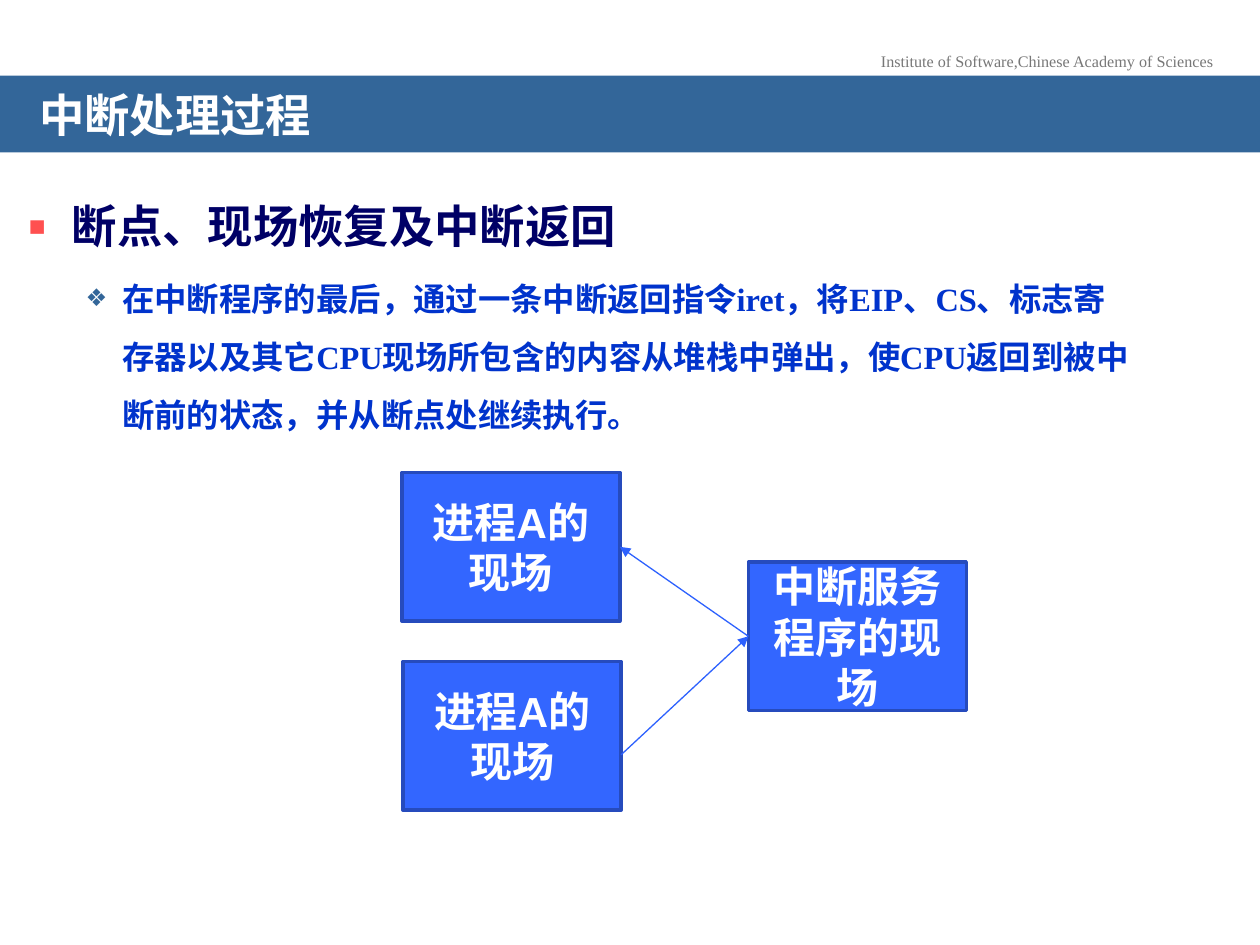
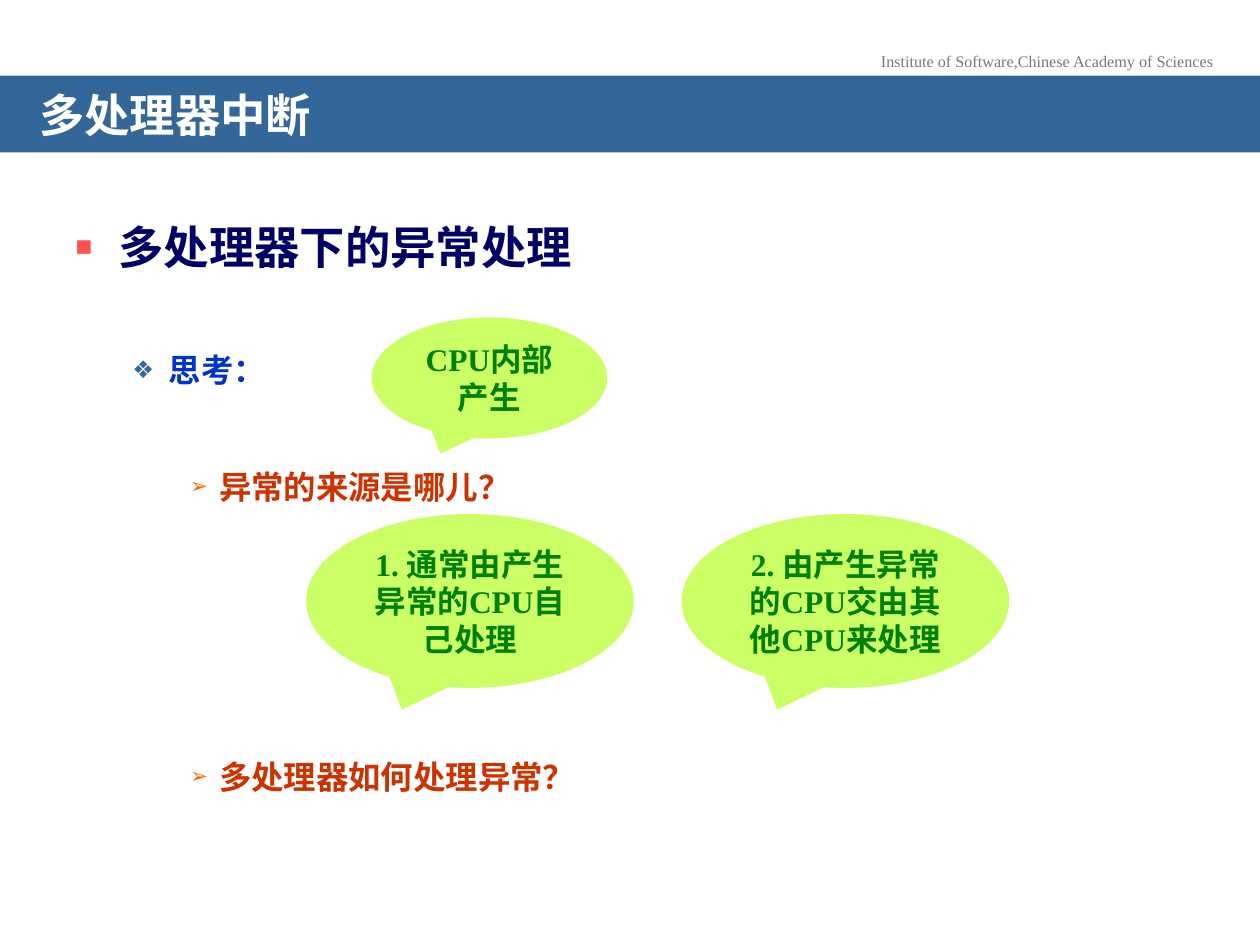
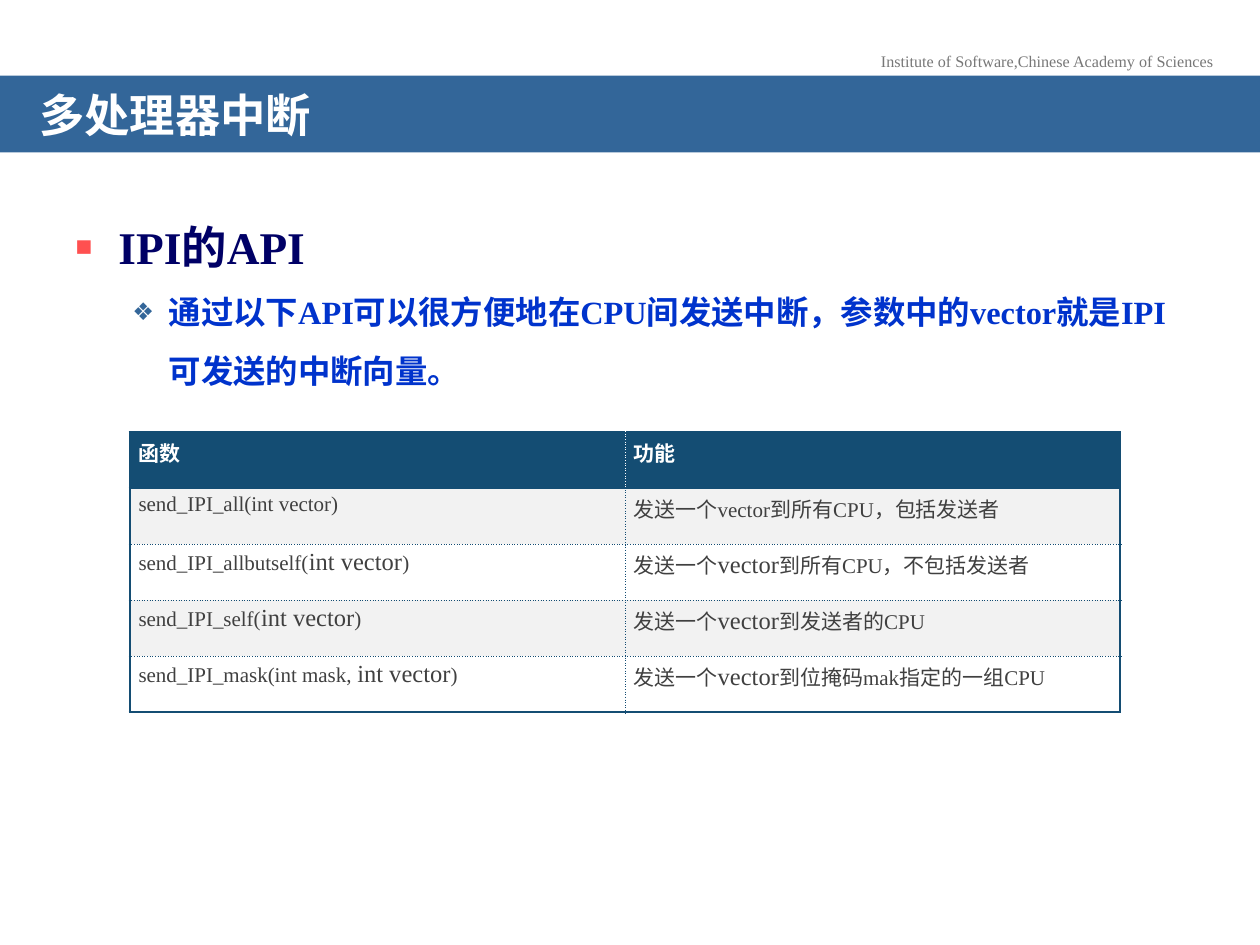
"""Build three slides about interrupt handling and multiprocessor interrupts."""
from dataclasses import dataclass

import lxml.etree
import pptx
import pptx.dml.color
import pptx.dml.fill
import pptx.enum.shapes
import pptx.enum.text
import pptx.oxml.ns
import pptx.presentation
import pptx.shapes.autoshape
import pptx.shapes.base
import pptx.slide
import pptx.table
import pptx.text.text
import pptx.util
from pptx.util import Inches

SERIF = "Times New Roman"
CHINESE = "Noto Sans CJK SC"
WHITE = "FFFFFF"
TABLE_BLUE = "144D73"
TABLE_GREY = "F2F2F2"
SKIPPED_LINE = 33.1
ANCHOR = pptx.enum.text.MSO_ANCHOR
ALIGN = pptx.enum.text.PP_ALIGN
SHAPE = pptx.enum.shapes.MSO_SHAPE


@dataclass(frozen=True)
class Frame:
    left: float
    top: float
    width: float
    height: float

    def lengths(self) -> tuple[pptx.util.Length, ...]:
        return tuple(Inches(value) for value in (self.left, self.top, self.width, self.height))


@dataclass(frozen=True)
class ListLevel:
    margin: float
    indent: float
    bullet: str
    bullet_color: str
    bullet_percent: int
    size: float
    color: str


@dataclass(frozen=True)
class ListItem:
    level: int
    text: str
    space_before: float = 0


@dataclass(frozen=True)
class LabelledShape:
    frame: Frame
    text: str


TITLE_FRAME = Frame(0, 0.6, 10, 0.61)
HEADER_FRAME = Frame(6.87, 0.36, 2.88, 0.26)
BODY_FRAME = Frame(0.49, 1.47, 9.01, 5.35)
LEVELS = (
    ListLevel(0.35, -0.35, "▪", "FF5050", 120, 25.9, "000066"),
    ListLevel(0.75, -0.29, "❖", "336699", 75, 18.5, "0033CC"),
    ListLevel(1.15, -0.23, "➢", "FF6600", 65, 18.5, "CC3300"),
)


def rgb(value: str) -> pptx.dml.color.RGBColor:
    return pptx.dml.color.RGBColor.from_string(value)


def set_fill(fill: pptx.dml.fill.FillFormat, color: str) -> None:
    fill.solid()
    fill.fore_color.rgb = rgb(color)


def add_child(parent: lxml.etree._Element, tag: str, **attributes: str) -> lxml.etree._Element:
    return lxml.etree.SubElement(parent, pptx.oxml.ns.qn(tag), attributes)


def add_text(paragraph: pptx.text.text._Paragraph, text: str, *, size: float, color: str,
             bold: bool = False, font: str = SERIF) -> None:
    run = paragraph.add_run()
    run.text = text
    run.font.size = pptx.util.Pt(size)
    run.font.color.rgb = rgb(color)
    run.font.bold = bold
    run.font.name = font
    add_child(run.font._element, "a:ea", typeface=CHINESE)


def set_margins(target: pptx.text.text.TextFrame | pptx.table._Cell,
                left: float, top: float, right: float, bottom: float) -> None:
    target.margin_left, target.margin_top = Inches(left), Inches(top)
    target.margin_right, target.margin_bottom = Inches(right), Inches(bottom)


def place(shape: pptx.shapes.base.BaseShape, frame: Frame) -> None:
    shape.left, shape.top, shape.width, shape.height = frame.lengths()


def fill_title(slide: pptx.slide.Slide, text: str) -> None:
    title = slide.shapes.title
    place(title, TITLE_FRAME)
    set_fill(title.fill, "336699")
    text_frame = title.text_frame
    text_frame.auto_size = pptx.enum.text.MSO_AUTO_SIZE.NONE
    text_frame.vertical_anchor = ANCHOR.MIDDLE
    set_margins(text_frame, 0.31, 0.16, 0.31, 0.05)
    paragraph = text_frame.paragraphs[0]
    paragraph.alignment = ALIGN.LEFT
    paragraph.line_spacing = 0.7
    add_text(paragraph, text, size=25.9, color=WHITE, bold=True, font=CHINESE)


def add_header(slide: pptx.slide.Slide) -> None:
    text_frame = slide.shapes.add_textbox(*HEADER_FRAME.lengths()).text_frame
    text_frame.word_wrap = False
    paragraph = text_frame.paragraphs[0]
    paragraph.alignment = ALIGN.CENTER
    add_text(paragraph, "Institute of Software,Chinese Academy of Sciences", size=9.2, color="777777")


def fill_body(slide: pptx.slide.Slide, items: list[ListItem], frame: Frame) -> None:
    body = slide.placeholders[1]
    place(body, frame)
    text_frame = body.text_frame
    text_frame.auto_size = pptx.enum.text.MSO_AUTO_SIZE.NONE
    for index, item in enumerate(items):
        level = LEVELS[item.level]
        paragraph = text_frame.paragraphs[0] if index == 0 else text_frame.add_paragraph()
        paragraph.level = item.level
        properties = paragraph._p.get_or_add_pPr()
        properties.set("marL", str(Inches(level.margin)))
        properties.set("indent", str(Inches(level.indent)))
        bullet_color = add_child(properties, "a:buClr")
        add_child(bullet_color, "a:srgbClr", val=level.bullet_color)
        add_child(properties, "a:buSzPct", val=str(level.bullet_percent * 1000))
        add_child(properties, "a:buChar", char=level.bullet)
        paragraph.line_spacing = 1.5
        paragraph.space_before = pptx.util.Pt(item.space_before)
        add_text(paragraph, item.text, size=level.size, color=level.color, bold=True)


def start_slide(presentation: pptx.presentation.Presentation, title: str, items: list[ListItem],
                body_frame: Frame = BODY_FRAME) -> pptx.slide.Slide:
    slide = presentation.slides.add_slide(presentation.slide_layouts[1])
    add_header(slide)
    fill_title(slide, title)
    fill_body(slide, items, body_frame)
    return slide


def add_labelled_shape(slide: pptx.slide.Slide, kind: SHAPE, label: LabelledShape, *, fill: str,
                       size: float, color: str, font: str) -> pptx.shapes.autoshape.Shape:
    shape = slide.shapes.add_shape(kind, *label.frame.lengths())
    shape.shadow.inherit = False
    set_fill(shape.fill, fill)
    shape.line.fill.background()
    shape.text_frame.word_wrap = True
    paragraph = shape.text_frame.paragraphs[0]
    paragraph.alignment = ALIGN.CENTER
    add_text(paragraph, label.text, size=size, color=color, bold=True, font=font)
    return shape


def add_context_box(slide: pptx.slide.Slide, label: LabelledShape) -> pptx.shapes.autoshape.Shape:
    box = add_labelled_shape(slide, SHAPE.RECTANGLE, label, fill="3366FF",
                             size=24, color=WHITE, font="Arial")
    box.line.color.rgb = rgb("264BBD")
    box.line.width = pptx.util.Pt(2)
    box.text_frame.vertical_anchor = ANCHOR.MIDDLE
    return box


def add_callout(slide: pptx.slide.Slide, label: LabelledShape) -> None:
    callout = add_labelled_shape(slide, SHAPE.OVAL_CALLOUT, label, fill="CCFF66",
                                 size=18, color="008000", font=SERIF)
    callout.text_frame.vertical_anchor = ANCHOR.TOP
    set_margins(callout.text_frame, 0.07, 0.04, 0.07, 0.04)


def add_arrow(slide: pptx.slide.Slide, start: tuple[float, float],
              end: tuple[float, float]) -> pptx.shapes.base.BaseShape:
    points = [Inches(value) for value in (*start, *end)]
    arrow = slide.shapes.add_connector(pptx.enum.shapes.MSO_CONNECTOR.STRAIGHT, *points)
    arrow.line.color.rgb = rgb("2D61FE")
    arrow.line.width = pptx.util.Pt(0.75)
    add_child(arrow.line._get_or_add_ln(), "a:tailEnd", type="triangle")
    add_child(arrow._element.spPr, "a:effectLst")
    return arrow


def set_border(cell: pptx.table._Cell, side: str, color: str, solid: bool) -> None:
    width = pptx.util.Pt(1.5 if solid else 0.25)
    border = add_child(cell._tc.get_or_add_tcPr(), f"a:ln{side}", w=str(width))
    add_child(add_child(border, "a:solidFill"), "a:srgbClr", val=color)
    add_child(border, "a:prstDash", val="solid" if solid else "sysDot")


def add_function_table(slide: pptx.slide.Slide, rows: list[list[list[str]]], frame: Frame) -> None:
    """Draw the table; the second part of a cell's text is set larger."""
    last_row, last_column = len(rows) - 1, len(rows[0]) - 1
    table = slide.shapes.add_table(len(rows), len(rows[0]), *frame.lengths()).table
    table.horz_banding = False
    for row_index, row in enumerate(rows):
        is_header = row_index == 0
        for column_index, parts in enumerate(row):
            cell = table.cell(row_index, column_index)
            set_margins(cell, 0.07, 0.04, 0.07, 0.04)
            inner_color = WHITE if is_header else TABLE_BLUE
            at_left, at_right = column_index == 0, column_index == last_column
            set_border(cell, "L", TABLE_BLUE if at_left else inner_color, at_left)
            set_border(cell, "R", TABLE_BLUE if at_right else inner_color, at_right)
            set_border(cell, "T", TABLE_BLUE, row_index <= 1)
            set_border(cell, "B", TABLE_BLUE, row_index in (0, last_row))
            band = TABLE_GREY if row_index % 2 else WHITE
            set_fill(cell.fill, TABLE_BLUE if is_header else band)
            paragraph = cell.text_frame.paragraphs[0]
            paragraph.alignment = ALIGN.LEFT
            for part_index, part in enumerate(parts):
                add_text(paragraph, part, size=14 if part_index == 1 else 12,
                         color=WHITE if is_header else "404040", bold=is_header)


def build_return_slide(presentation: pptx.presentation.Presentation) -> None:
    slide = start_slide(presentation, "中断处理过程", [
        ListItem(0, "断点、现场恢复及中断返回"),
        ListItem(1, "在中断程序的最后，通过一条中断返回指令iret，将EIP、CS、标志寄存器以及其它CPU"
                    "现场所包含的内容从堆栈中弹出，使CPU返回到被中断前的状态，并从断点处继续执行。", 3.7),
    ], Frame(0.12, 1.31, 9.01, 4.02))
    upper_process, _, service = [
        add_context_box(slide, LabelledShape(Frame(left, top, 1.73, 1.18), text))
        for left, top, text in (
            (3.19, 3.75, "进程A的现场"),
            (3.2, 5.25, "进程A的现场"),
            (5.94, 4.46, "中断服务程序的现场"),
        )
    ]
    interrupt_arrow = add_arrow(slide, (4.93, 5.99), (5.94, 5.05))
    interrupt_arrow.end_connect(service, 1)
    return_arrow = add_arrow(slide, (5.94, 5.05), (4.92, 4.34))
    return_arrow.begin_connect(service, 1)
    return_arrow.end_connect(upper_process, 3)


def build_exception_slide(presentation: pptx.presentation.Presentation) -> None:
    slide = start_slide(presentation, "多处理器中断", [
        ListItem(0, "多处理器下的异常处理"),
        ListItem(1, "思考：", SKIPPED_LINE),
        ListItem(2, "异常的来源是哪儿？", SKIPPED_LINE),
        ListItem(2, "多处理器如何处理异常？", 4 * SKIPPED_LINE),
    ])
    for callout in (
        LabelledShape(Frame(2.95, 2.52, 1.87, 0.96), "CPU内部产生"),
        LabelledShape(Frame(2.43, 4.08, 2.6, 1.38), "1. 通常由产生异常的CPU自己处理"),
        LabelledShape(Frame(5.41, 4.08, 2.6, 1.38), "2. 由产生异常的CPU交由其他CPU来处理"),
    ):
        add_callout(slide, callout)


def build_api_slide(presentation: pptx.presentation.Presentation) -> None:
    slide = start_slide(presentation, "多处理器中断", [
        ListItem(0, "IPI的API"),
        ListItem(1, "通过以下API可以很方便地在CPU间发送中断，参数中的vector就是IPI可发送的中断向量。"),
    ])
    add_function_table(slide, [
        [["函数"], ["功能"]],
        [["send_IPI_all(int vector)"], ["发送一个vector到所有CPU，包括发送者"]],
        [["send_IPI_allbutself(", "int vector", ")"],
         ["发送一个", "vector", "到所有CPU，不包括发送者"]],
        [["send_IPI_self(", "int vector", ")"], ["发送一个", "vector", "到发送者的CPU"]],
        [["send_IPI_mask(int mask, ", "int vector", ")"],
         ["发送一个", "vector", "到位掩码mak指定的一组CPU"]],
    ], Frame(1.03, 3.43, 7.86, 2.22))


def main() -> None:
    presentation = pptx.Presentation()
    presentation.slide_width, presentation.slide_height = Inches(10), Inches(7.5)
    build_return_slide(presentation)
    build_exception_slide(presentation)
    build_api_slide(presentation)
    presentation.save("out.pptx")


if __name__ == "__main__":
    main()
